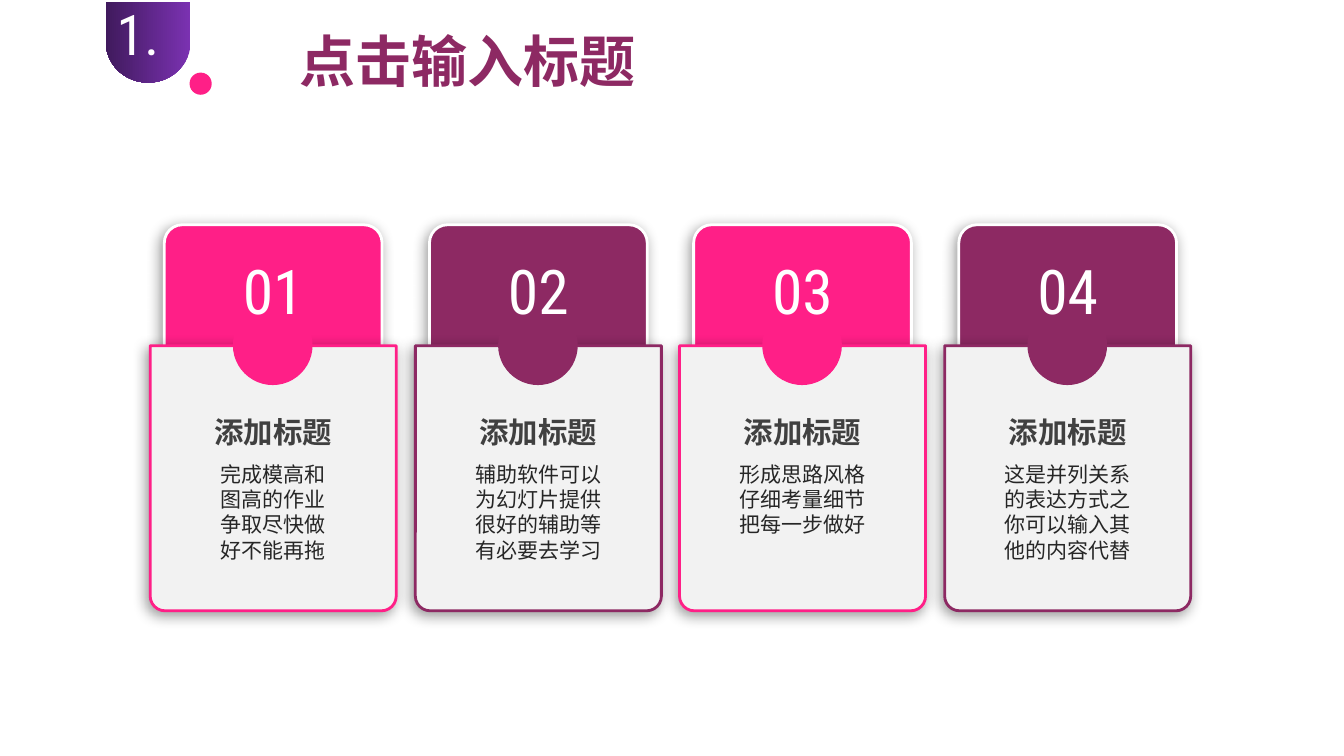
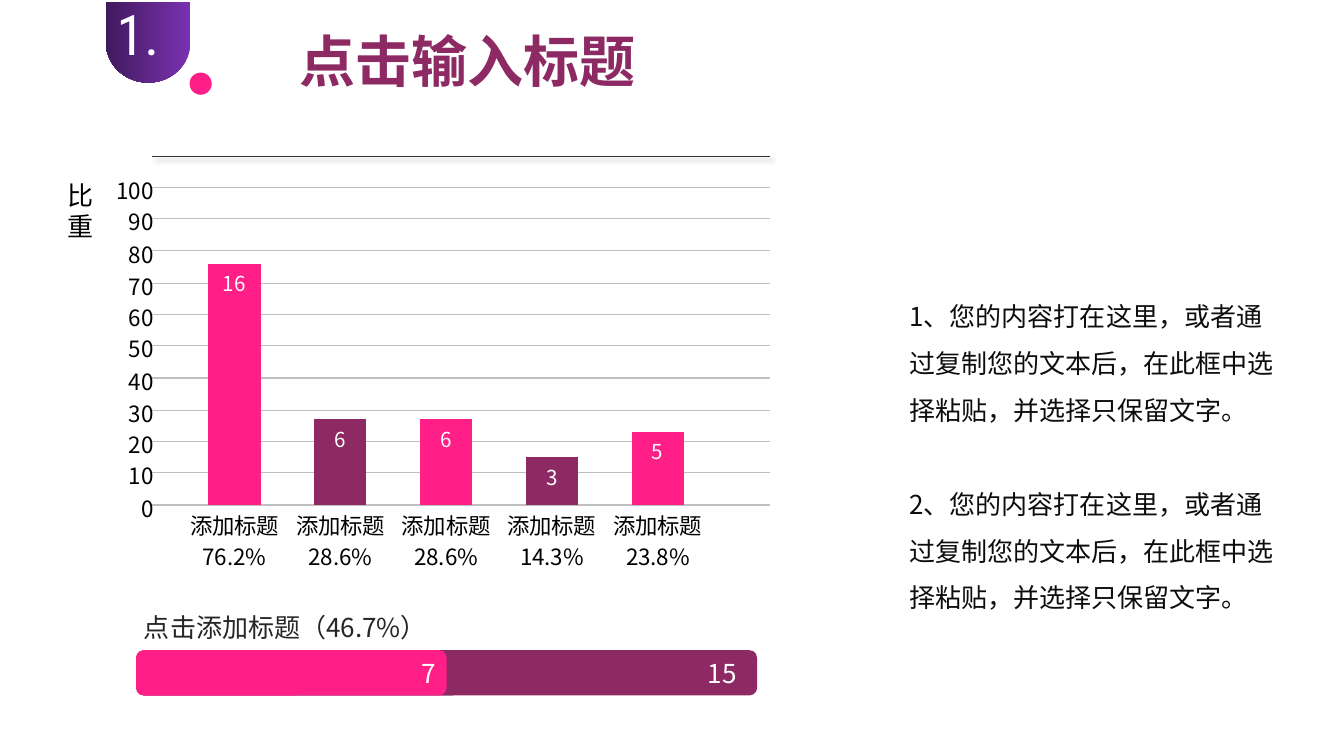
from typing import NamedTuple

from lxml import etree
from pptx import Presentation
from pptx import util as u
from pptx.chart.data import CategoryChartData
from pptx.dml.color import RGBColor
from pptx.enum import chart as c, shapes, text
from pptx.oxml import parse_xml
from pptx.oxml.ns import nsdecls, qn

PX = 9144
CJK = "Noto Sans CJK SC"
ROBOTO = "Roboto Condensed"
COLORS = {
    "pink": "FF1F87",
    "plum": "8D2963",
    "violet": "7B32B2",
    "indigo": "401A5D",
    "white": "FFFFFF",
    "paper": "F2F2F2",
    "heading": "404040",
    "body": "262626",
    "note": "0D0D0D",
    "black": "000000",
    "grid": "C0C0C0",
    "rule": "333333",
}
ACCENTS = ("pink", "plum")
ALIGN = text.PP_ALIGN
KIND = shapes.MSO_SHAPE


class Box(NamedTuple):
    x: int
    y: int
    w: int
    h: int

    def emu(self) -> list[u.Emu]:
        return [u.Emu(n * PX) for n in self]


class Style(NamedTuple):
    size: float
    color: str
    font: str = CJK
    bold: bool = False
    align: ALIGN = ALIGN.LEFT
    spacing: float = 1.0
    before: float = 0


class Shadow(NamedTuple):
    blur: float
    angle: int


class Card(NamedTuple):
    number: str
    lines: str


class Bar(NamedTuple):
    height: int
    percent: str
    count: int


TITLE = Style(40, "plum", bold=True)
SECTION = Style(40, "white", ROBOTO)
NUMBER = Style(44, "white", ROBOTO, align=ALIGN.CENTER)
HEADING = Style(21, "heading", bold=True, align=ALIGN.CENTER)
BODY = Style(15, "body", align=ALIGN.CENTER)
AXIS_TITLE = Style(18.6, "black")
TICK = Style(16, "black", align=ALIGN.RIGHT)
CAPTION = Style(18.6, "body", spacing=1.5)
NOTE = Style(18.6, "note", spacing=1.5, before=33.5)
BAR_COUNT = Style(14.7, "white")
PROGRESS = Style(18.6, "white", align=ALIGN.RIGHT)

CARDS = [
    Card("01", "完成模高和\n图高的作业\n争取尽快做\n好不能再拖"),
    Card("02", "辅助软件可以\n为幻灯片提供\n很好的辅助等\n有必要去学习"),
    Card("03", "形成思路风格\n仔细考量细节\n把每一步做好"),
    Card("04", "这是并列关系\n的表达方式之\n你可以输入其\n他的内容代替"),
]
BARS = [
    Bar(76, "76.2%", 16),
    Bar(27, "28.6%", 6),
    Bar(27, "28.6%", 6),
    Bar(15, "14.3%", 3),
    Bar(23, "23.8%", 5),
]
NOTES = "\n".join(
    f"{n}、您的内容打在这里，或者通过复制您的文本后，在此框中选择粘贴，并选择只保留文字。"
    for n in (1, 2)
)
CHART = Box(170, 170, 545, 420)
PLOT = Box(180, 186, 525, 315)
GRID_LEFT, GRID_RIGHT = 151, 764


def rgb(name: str) -> RGBColor:
    return RGBColor.from_string(COLORS[name])


def style_font(font, style: Style) -> None:
    font.size = u.Pt(style.size)
    font.bold = style.bold
    font.name = style.font
    font.color.rgb = rgb(style.color)


def write(tf, words: str, style: Style) -> None:
    tf.text = words
    for i, p in enumerate(tf.paragraphs):
        p.alignment = style.align
        p.line_spacing = style.spacing
        if i:
            p.space_before = u.Pt(style.before)
        for r in p.runs:
            style_font(r.font, style)
            ea = etree.SubElement(r._r.get_or_add_rPr(), qn("a:ea"))
            ea.set("typeface", style.font)


def add_text(s, box: Box, words: str, style: Style, wrap: bool = True) -> None:
    tf = s.shapes.add_textbox(*box.emu()).text_frame
    tf.word_wrap = wrap
    write(tf, words, style)


def set_effects(sp, shadow: Shadow | None = None) -> None:
    effects = parse_xml(f'<a:effectLst {nsdecls("a")}/>')
    if shadow:
        outer = etree.SubElement(
            effects, qn("a:outerShdw"), blurRad=str(u.Pt(shadow.blur)),
            dist=str(u.Pt(3)), dir=str(shadow.angle * 60000),
            algn="ctr", rotWithShape="0")
        color = etree.SubElement(outer, qn("a:srgbClr"), val=COLORS["black"])
        etree.SubElement(color, qn("a:alpha"), val="40000")
    sp._element.spPr.append(effects)


def add_shape(s, kind: KIND, box: Box, fill: str, line: str = "",
              shadow: Shadow | None = None, adjust: tuple[float, ...] = ()):
    sp = s.shapes.add_shape(kind, *box.emu())
    for i, value in enumerate(adjust):
        sp.adjustments[i] = value
    sp.fill.solid()
    sp.fill.fore_color.rgb = rgb(fill)
    if line:
        sp.line.color.rgb = rgb(line)
        sp.line.width = u.Pt(2)
    else:
        sp.line.fill.background()
    if shadow:
        set_effects(sp, shadow)
    else:
        sp.shadow.inherit = False
    return sp


def add_slide(prs):
    s = prs.slides.add_slide(prs.slide_layouts[6])
    add_text(s, Box(287, 21, 373, 77), "点击输入标题", TITLE, wrap=False)
    badge = add_shape(s, KIND.FLOWCHART_DELAY, Box(107, 0, 80, 84), "violet")
    badge.rotation = 90
    badge.fill.gradient()
    badge.fill.gradient_angle = 270
    for stop, name in zip(badge.fill.gradient_stops, ("violet", "indigo")):
        stop.color.rgb = rgb(name)
    add_text(s, Box(106, -5, 73, 77), "1.", SECTION)
    add_shape(s, KIND.OVAL, Box(188, 72, 22, 22), "pink")
    return s


def add_card(s, x: int, card: Card, accent: str) -> None:
    shadow = Shadow(10, 135)
    add_shape(s, KIND.ROUNDED_RECTANGLE, Box(x + 14, 223, 216, 199), accent,
              "white", shadow, (0.09,))
    add_shape(s, KIND.ROUND_2_SAME_RECTANGLE, Box(x, 343, 244, 263), "paper",
              accent, shadow, (0, 0.06))
    add_shape(s, KIND.OVAL, Box(x + 82, 303, 79, 79), accent)
    for y, h, words, style in (
        (246, 85, card.number, NUMBER),
        (406, 43, "添加标题", HEADING),
        (453, 109, card.lines, BODY),
    ):
        add_text(s, Box(x, y, 244, h), words, style)


def add_rule(s, y: int, color: str, shadow: Shadow | None = None) -> None:
    left, top, right, _ = Box(GRID_LEFT, y, GRID_RIGHT, 0).emu()
    rule = s.shapes.add_connector(
        shapes.MSO_CONNECTOR.STRAIGHT, left, top, right, top)
    rule.line.color.rgb = rgb(color)
    rule.line.width = u.Pt(0.75)
    set_effects(rule, shadow)


def add_scale(s) -> None:
    add_rule(s, 155, "rule", Shadow(4, 45))
    for value in range(0, 101, 10):
        y = PLOT.y + PLOT.h - round(PLOT.h * value / 100)
        add_rule(s, y, "grid")
        add_text(s, Box(87, y - 15, 75, 37), str(value), TICK)


def place_plot(chart) -> None:
    layout = parse_xml(
        f'<c:layout {nsdecls("c")}><c:manualLayout>'
        '<c:layoutTarget val="inner"/><c:xMode val="edge"/><c:yMode val="edge"/>'
        f'<c:x val="{(PLOT.x - CHART.x) / CHART.w:.4f}"/>'
        f'<c:y val="{(PLOT.y - CHART.y) / CHART.h:.4f}"/>'
        f'<c:w val="{PLOT.w / CHART.w:.4f}"/><c:h val="{PLOT.h / CHART.h:.4f}"/>'
        '</c:manualLayout></c:layout>')
    space = chart._chartSpace
    area = space.chart.plotArea
    for old in area.findall(qn("c:layout")):
        area.remove(old)
    area.insert(0, layout)
    clear = (f'<c:spPr {nsdecls("c", "a")}><a:noFill/>'
             '<a:ln><a:noFill/></a:ln></c:spPr>')
    area.append(parse_xml(clear))
    space.chart.addnext(parse_xml(clear))


def add_bar_chart(s) -> None:
    data = CategoryChartData()
    data.categories = [f"添加标题\n{bar.percent}" for bar in BARS]
    data.add_series("比重", [bar.height for bar in BARS])
    chart = s.shapes.add_chart(
        c.XL_CHART_TYPE.COLUMN_CLUSTERED, *CHART.emu(), data).chart
    chart.has_legend = False
    chart.has_title = False
    style_font(chart.font, Style(16, "black"))
    place_plot(chart)

    value_axis = chart.value_axis
    value_axis.minimum_scale = 0
    value_axis.maximum_scale = 100
    value_axis.major_unit = 10
    value_axis.has_major_gridlines = False
    value_axis.tick_label_position = c.XL_TICK_LABEL_POSITION.NONE
    chart.category_axis.tick_labels.offset = 300
    for axis in (value_axis, chart.category_axis):
        axis.format.line.fill.background()
        axis.major_tick_mark = c.XL_TICK_MARK.NONE

    plot = chart.plots[0]
    plot.vary_by_categories = False
    plot.gap_width = 102
    for i, bar in enumerate(BARS):
        point = plot.series[0].points[i]
        point.format.fill.solid()
        point.format.fill.fore_color.rgb = rgb(ACCENTS[i % 2])
        label = point.data_label
        label.text_frame.text = str(bar.count)
        style_font(label.text_frame.paragraphs[0].runs[0].font, BAR_COUNT)
        label.position = c.XL_LABEL_POSITION.INSIDE_END


def add_progress(s, width: int, words: str, fill: str, margin: int) -> None:
    sp = add_shape(s, KIND.ROUNDED_RECTANGLE, Box(135, 645, width, 45), fill,
                   adjust=(0.17,))
    tf = sp.text_frame
    tf.margin_right = u.Emu(margin * PX)
    tf.vertical_anchor = text.MSO_ANCHOR.MIDDLE
    write(tf, words, PROGRESS)


def build_cards(prs) -> None:
    s = add_slide(prs)
    for i, card in enumerate(CARDS):
        add_card(s, 149 + round(i * 788 / 3), card, ACCENTS[i % 2])


def build_chart(prs) -> None:
    s = add_slide(prs)
    add_scale(s)
    add_bar_chart(s)
    add_text(s, Box(57, 173, 47, 73), "比重", AXIS_TITLE)
    add_text(s, Box(133, 586, 494, 47), "点击添加标题（46.7%）", CAPTION)
    add_progress(s, 616, "15", "plum", 18)
    add_progress(s, 308, "7", "pink", 8)
    add_text(s, Box(892, 278, 388, 381), NOTES, NOTE)


def main() -> None:
    prs = Presentation()
    prs.slide_width = u.Emu(1333 * PX)
    prs.slide_height = u.Emu(750 * PX)
    build_cards(prs)
    build_chart(prs)
    prs.save("out.pptx")


if __name__ == "__main__":
    main()
